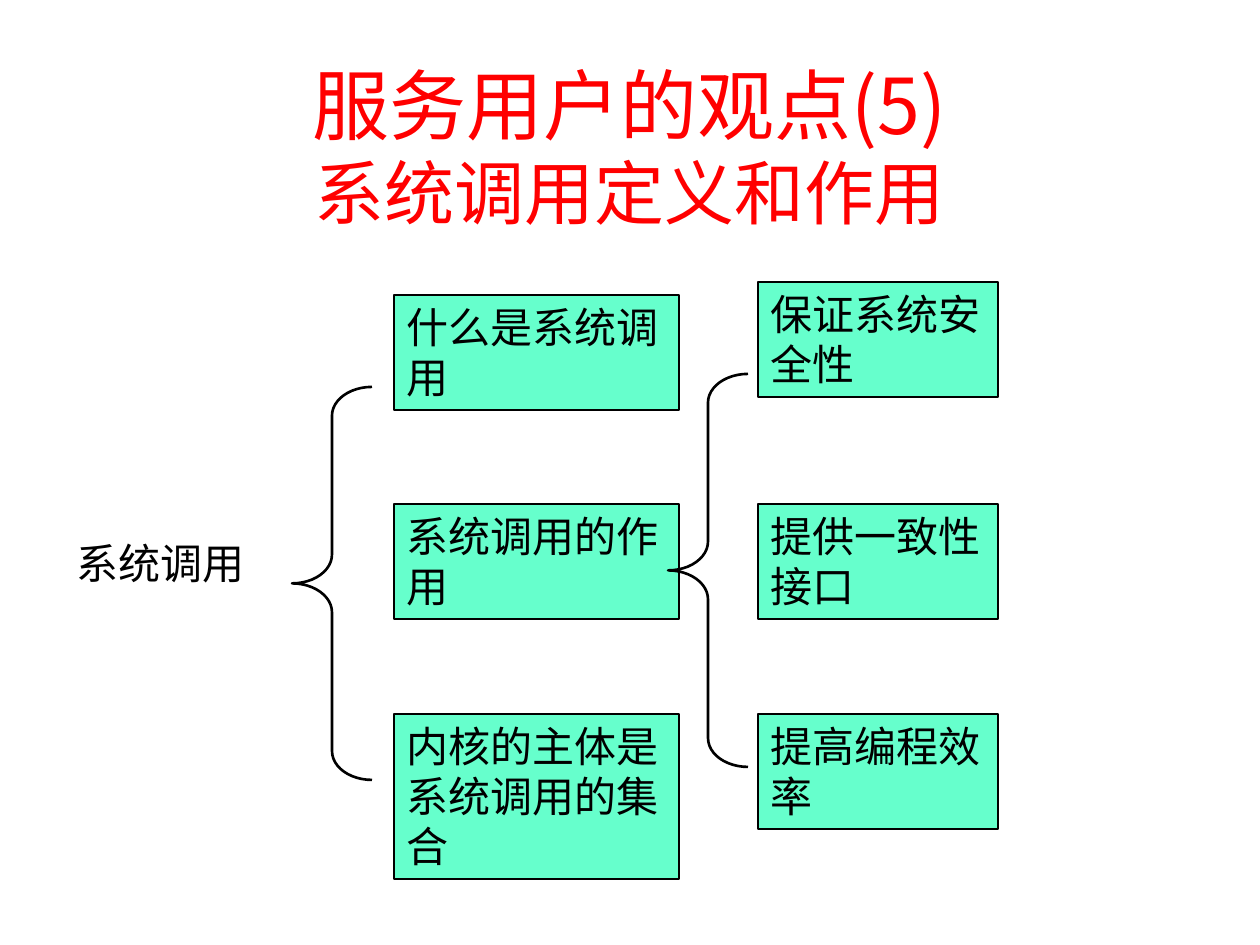
"""Build a slide that breaks system calls down with two braces."""
import pptx
import pptx.util
import pptx.dml.color
import pptx.enum.shapes
import pptx.enum.text

SCALE = 914400 / 126
SIZE = (1260, 945)
TITLE = [("服务用户的观点(5)", 44, "Noto Sans CJK SC"),
         ("系统调用定义和作用", 40, "Times New Roman")]
LABEL = "系统调用"
ROWS = (295, 504, 714)
LINE = 50
PAD = 15
COLUMNS = [
    {"left": 394, "width": 285, "rise": 0, "brace": (292, 387),
     "items": [("什么是系统调用", 2), ("系统调用的作用", 2),
               ("内核的主体是系统调用的集合", 3)]},
    {"left": 758, "width": 240, "rise": 13, "brace": (668, 374),
     "items": [("保证系统安全性", 2), ("提供一致性接口", 2),
               ("提高编程效率", 2)]},
]
SHAPE = pptx.enum.shapes.MSO_SHAPE
ALIGN = pptx.enum.text.PP_ALIGN
ANCHOR = pptx.enum.text.MSO_ANCHOR


def px(*sizes):
    return [round(size * SCALE) for size in sizes]


def color(code):
    return pptx.dml.color.RGBColor.from_string(code)


def write(shape, runs, ink="000000", align=ALIGN.LEFT, anchor=ANCHOR.TOP):
    frame = shape.text_frame
    frame.word_wrap = True
    frame.vertical_anchor = anchor
    para = frame.paragraphs[0]
    para.alignment = align
    for index, (text, size, face) in enumerate(runs):
        if index:
            para.add_line_break()
        run = para.add_run()
        run.text = text
        run.font.size = pptx.util.Pt(size)
        run.font.name = face
        run.font.color.rgb = color(ink)


def draw(slide, kind, place, width, fill=None):
    shape = slide.shapes.add_shape(kind, *px(*place))
    shape.shadow.inherit = False
    if fill:
        shape.fill.solid()
        shape.fill.fore_color.rgb = color(fill)
    else:
        shape.fill.background()
    shape.line.color.rgb = color("000000")
    shape.line.width = pptx.util.Pt(width)
    return shape


def body(text):
    return [(text, 24, "Times New Roman")]


def main():
    deck = pptx.Presentation()
    deck.slide_width, deck.slide_height = px(*SIZE)
    slide = deck.slides.add_slide(deck.slide_layouts[6])
    title = slide.shapes.add_textbox(*px(94, 67, 1071, 157))
    write(title, TITLE, ink="FF0000", align=ALIGN.CENTER, anchor=ANCHOR.MIDDLE)
    write(slide.shapes.add_textbox(*px(64, 531, 228, 63)), body(LABEL))
    for col in COLUMNS:
        brace = draw(slide, SHAPE.LEFT_BRACE, (*col["brace"], 80, 393), 1.5)
        brace.adjustments[0] = 0.36
        for row, (top, (text, lines)) in enumerate(zip(ROWS, col["items"])):
            top -= 0 if row else col["rise"]
            place = (col["left"], top, col["width"], lines * LINE + PAD)
            box = draw(slide, SHAPE.RECTANGLE, place, 1, fill="66FFCC")
            write(box, body(text))
        slide.shapes._spTree.append(brace._element) if col["rise"] else None
    deck.save("out.pptx")


if __name__ == "__main__":
    main()
